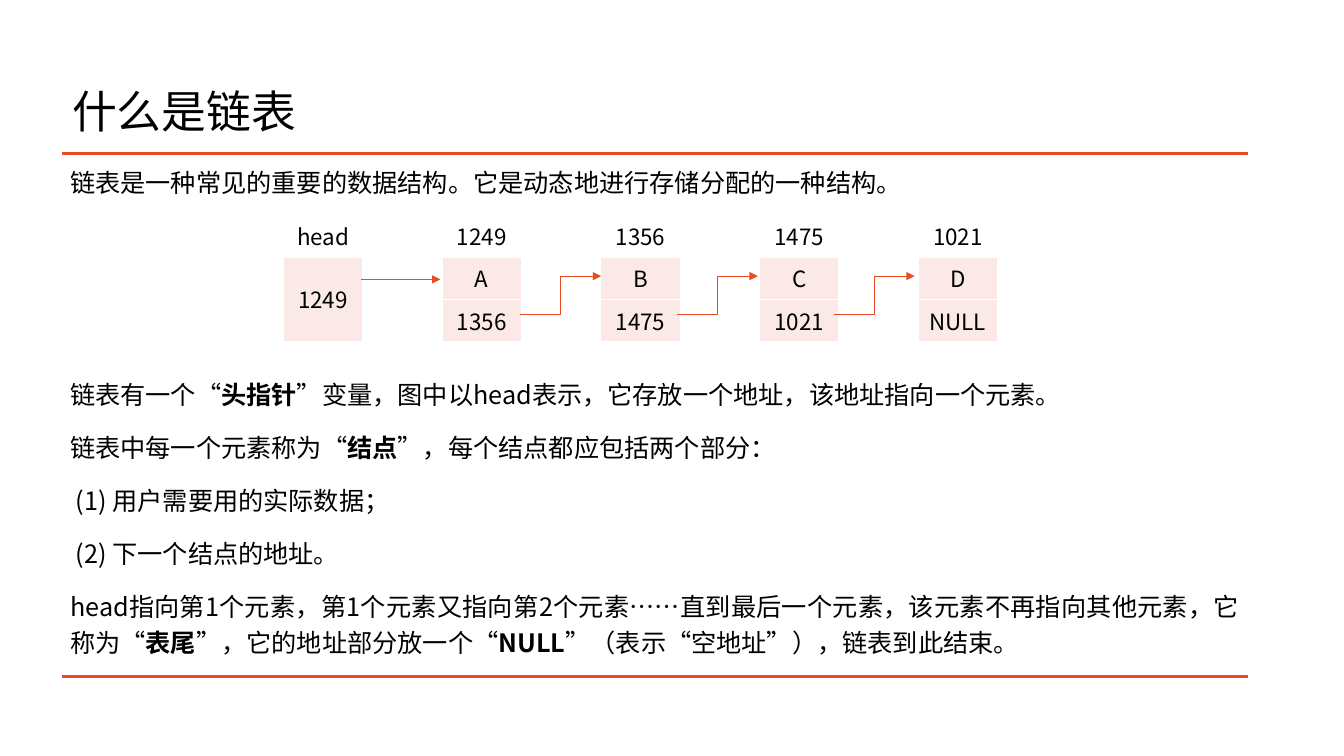
from lxml import etree
from pptx import Presentation
from pptx.dml.color import RGBColor
from pptx.enum.shapes import MSO_CONNECTOR
from pptx.enum.text import MSO_ANCHOR, PP_ALIGN
from pptx.oxml.ns import qn
from pptx.util import Cm, Pt

LINE, ELBOW = MSO_CONNECTOR.STRAIGHT, MSO_CONNECTOR.ELBOW
TOP, MID = MSO_ANCHOR.TOP, MSO_ANCHOR.MIDDLE
LEFT, CENTER, JUST = PP_ALIGN.LEFT, PP_ALIGN.CENTER, PP_ALIGN.JUSTIFY
FONT = "Noto Sans CJK SC"
HUES = {"ink": "000000", "rule": "E84C22", "cell": "FBE9E8", "edge": "FFFFFF"}

TITLE = [(0, [("什么是链表", False)])]
INTRO = [(0, [("链表是一种常见的重要的数据结构。它是动态地进行存储分配的一种结构。", False)])]
BODY = [
    (0, [("链表有一个“", False), ("头指针", True),
         ("”变量，图中以head表示，它存放一个地址，该地址指向一个元素。", False)]),
    (0, [("链表中每一个元素称为“", False), ("结点", True),
         ("”，每个结点都应包括两个部分：", False)]),
    (0.14, [("(1) 用户需要用的实际数据；", False)]),
    (0.14, [("(2) 下一个结点的地址。", False)]),
    (0, [("head指向第1个元素，第1个元素又指向第2个元素……直到最后一个元素，"
          "该元素不再指向其他元素，它称为“", False), ("表尾", True),
         ("”，它的地址部分放一个“", False), ("NULL", True),
         ("”（表示“空地址”），链表到此结束。", False)]),
]
NODES = [
    ("head", "1249", ""),
    ("1249", "A", "1356"),
    ("1356", "B", "1475"),
    ("1475", "C", "1021"),
    ("1021", "D", "NULL"),
]
EDGE_X, EDGE_W = 1.57, 29.87
COL, ROW = 2, 1.06
GRID_X, GRID_Y = 7.14, 5.42

deck = Presentation()
deck.slide_width, deck.slide_height = Cm(33.87), Cm(19.05)
slide = deck.slides.add_slide(deck.slide_layouts[6])


def hue(name):
    return RGBColor.from_string(HUES[name])


def add_run(para, text, size, bold=False):
    run = para.add_run()
    run.text = text
    font = run.font
    font.size, font.bold, font.name = Pt(size), bold, FONT
    font.color.rgb = hue("ink")
    etree.SubElement(run._r.get_or_add_rPr(), qn("a:ea"), typeface=FONT)


def add_text(paras, box, size, anchor, align, lead, gap, inset):
    frame = slide.shapes.add_textbox(*map(Cm, box)).text_frame
    frame.word_wrap, frame.vertical_anchor = True, anchor
    frame.margin_left = frame.margin_right = Cm(inset)
    frame.margin_top = frame.margin_bottom = Cm(0.2)
    for i, (dent, runs) in enumerate(paras):
        para = frame.add_paragraph() if i else frame.paragraphs[0]
        para.alignment, para.line_spacing = align, lead
        para.space_before = para.space_after = Pt(gap)
        if dent:
            para._p.get_or_add_pPr().set("marL", str(Cm(dent)))
        for text, bold in runs:
            add_run(para, text, size, bold)


def add_line(kind, start, end, width, arrow=False):
    line = slide.shapes.add_connector(kind, *map(Cm, start + end))
    line.line.color.rgb, line.line.width = hue("rule"), Pt(width)
    if arrow:
        etree.SubElement(line.line._get_or_add_ln(), qn("a:tailEnd"), type="triangle")
    etree.SubElement(line._element.spPr, qn("a:effectLst"))


def set_edge(cell):
    props = cell._tc.get_or_add_tcPr()
    for i, side in enumerate(("lnL", "lnR", "lnT", "lnB")):
        edge = etree.Element(qn("a:" + side), w=str(Pt(1)))
        fill = etree.SubElement(edge, qn("a:solidFill"))
        etree.SubElement(fill, qn("a:srgbClr"), val=HUES["edge"])
        props.insert(i, edge)


def add_grid():
    cols, rows = 2 * len(NODES) - 1, len(NODES[0])
    box = (GRID_X, GRID_Y, cols * COL, rows * ROW)
    grid = slide.shapes.add_table(rows, cols, *map(Cm, box)).table
    grid.first_row = grid.horz_banding = False
    for col in grid.columns:
        col.width = Cm(COL)
    for r, row in enumerate(grid.rows):
        row.height = Cm(ROW)
        for c, cell in enumerate(row.cells):
            cell.margin_top = cell.margin_bottom = 0
            cell.vertical_anchor = MID
            node = c % 2 == 0
            if node and r:
                cell.fill.solid()
                cell.fill.fore_color.rgb = hue("cell")
            else:
                cell.fill.background()
            set_edge(cell)
            if node and NODES[c // 2][r]:
                para = cell.text_frame.paragraphs[0]
                para.alignment = CENTER
                add_run(para, NODES[c // 2][r], 16)
    grid.cell(1, 0).merge(grid.cell(2, 0))


add_text(TITLE, (EDGE_X, 1.55, 29.2, 2.64), 32, MID, LEFT, 0.9, 0, 0.25)
for y in (3.87, 17.04):
    add_line(LINE, (EDGE_X, y), (EDGE_X + EDGE_W, y), 2)
add_text(INTRO, (EDGE_X, 3.87, EDGE_W, 1.6), 18, TOP, JUST, 1.2, 6, 0.2)
add_text(BODY, (EDGE_X, 9.2, EDGE_W, 7.8), 18, TOP, JUST, 1.2, 6, 0.2)
add_grid()
add_line(LINE, (9.1, 7.04), (11.1, 7.04), 0.5, True)
for i in range(len(NODES) - 2):
    x = 13.11 + 3.95 * i
    add_line(ELBOW, (x, 7.92), (x + 2.04, 6.96), 0.5, True)

deck.save("out.pptx")
